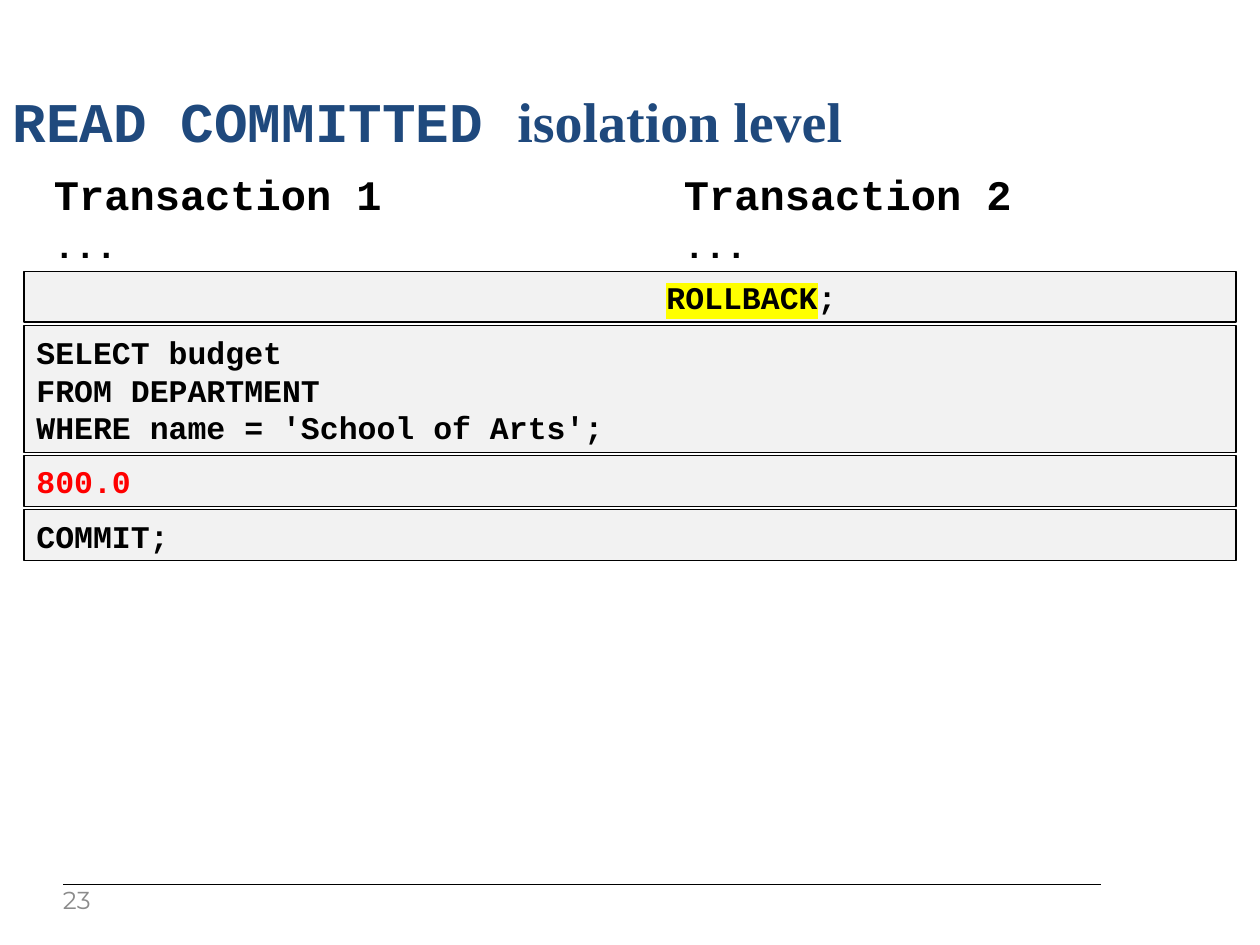
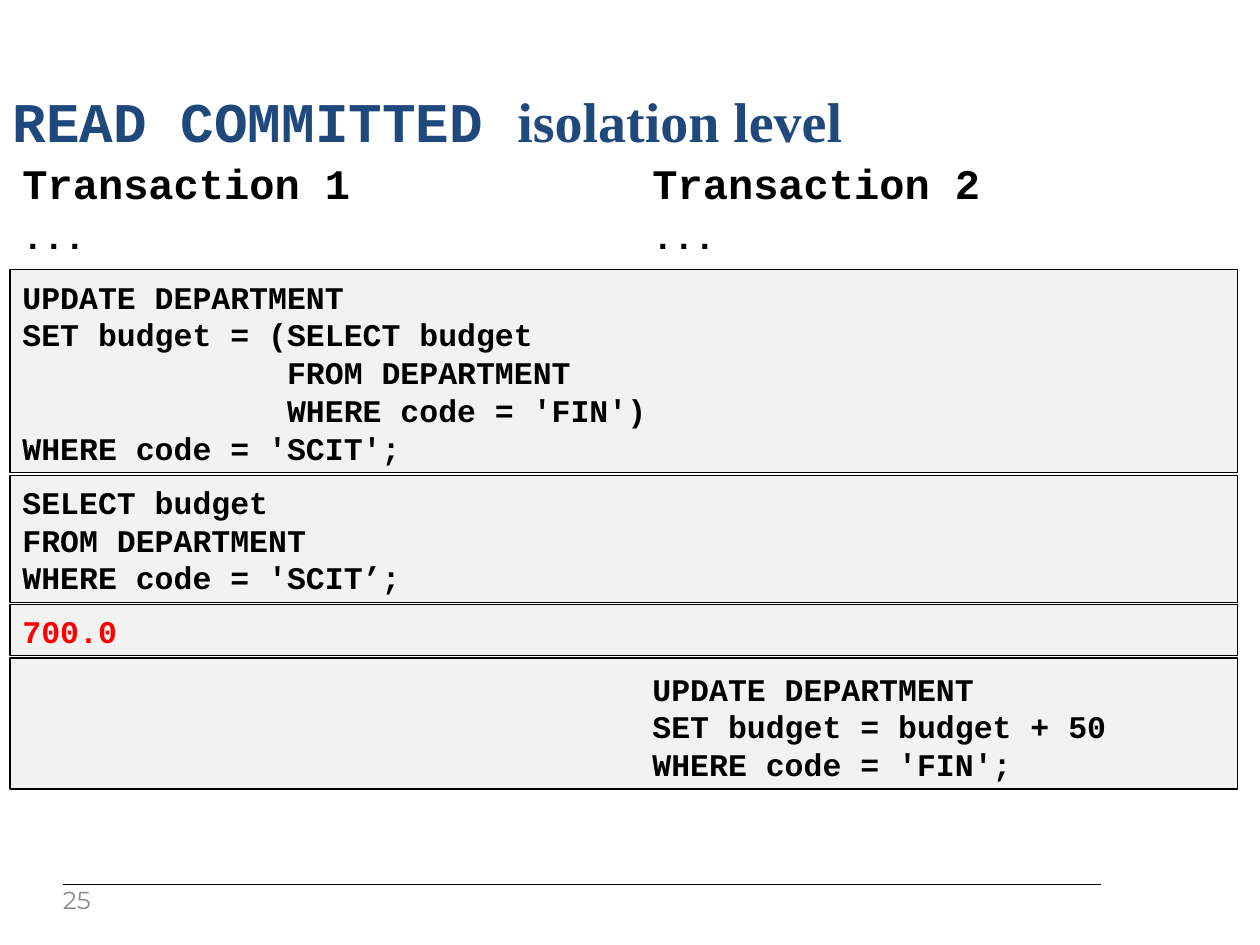
from lxml import etree
from pptx import Presentation
from pptx.dml.color import RGBColor
from pptx.enum.shapes import MSO_CONNECTOR, MSO_SHAPE
from pptx.enum.text import MSO_ANCHOR, MSO_AUTO_SIZE, PP_ALIGN
from pptx.oxml.ns import qn
from pptx.util import Pt

LINE, RECT = MSO_CONNECTOR.STRAIGHT, MSO_SHAPE.RECTANGLE
BOTTOM, MIDDLE, LEFT = MSO_ANCHOR.BOTTOM, MSO_ANCHOR.MIDDLE, PP_ALIGN.LEFT
NO_FIT = MSO_AUTO_SIZE.NONE

COLORS = {"title": "1F497D", "code": "000000", "result": "FF0000", "row": "F2F2F2",
          "rule": "000000", "number": "8B8B8B", "highlight": "FFFF00"}
CODE, SERIF, SANS = "Courier New", "Times New Roman", "Montserrat"
SECOND_COLUMN = 360  # tab stop where Transaction 2 begins
LINE_HEIGHT, ROW_PADDING = 21.8, 7.2

# Each row: code, colour, extra height
SLIDES = [
    {
        "number": "23", "header": (23.76, 672), "header_tops": (92.9, 123.8),
        "rows_at": (13.7, 155, 692.6), "gap": 1.9,
        "rows": [
            ("\tROLLBACK;", "code", 0),
            ("SELECT budget\nFROM DEPARTMENT\nWHERE name = 'School of Arts';", "code", 0),
            ("800.0", "result", 0),
            ("COMMIT;", "code", 0),
        ],
    },
    {
        "number": "25", "header": (5.76, 701.3), "header_tops": (86.4, 118.8),
        "rows_at": (5.76, 154, 701.3), "gap": 1.4,
        "rows": [
            ("UPDATE DEPARTMENT\nSET budget = (SELECT budget\n"
             "              FROM DEPARTMENT\n"
             "              WHERE code = 'FIN')\nWHERE code = 'SCIT';", "code", 0),
            ("SELECT budget\nFROM DEPARTMENT\nWHERE code = 'SCIT’;", "code", 0),
            ("700.0", "result", 0),
            ("\tUPDATE DEPARTMENT\n\tSET budget = budget + 50\n"
             "\tWHERE code = 'FIN';", "code", 2.4),
        ],
    },
]


def style(r, size, font, color, bold=True):
    r.font.size = Pt(size)
    r.font.name = font
    r.font.bold = bold
    r.font.color.rgb = RGBColor.from_string(COLORS[color])


def write_code(sp, text, size, color="code"):
    """Fill a shape with code; a tab leads to the second column."""
    tf = sp.text_frame
    tf.text = text
    tf.word_wrap = True
    tf.vertical_anchor = BOTTOM
    for p in tf.paragraphs:
        p.alignment = LEFT
        if "\t" in p.text:
            tabs = etree.SubElement(p._p.get_or_add_pPr(), qn("a:tabLst"))
            etree.SubElement(tabs, qn("a:tab"), pos=str(Pt(SECOND_COLUMN)), algn="l")
        for r in p.runs:
            style(r, size, CODE, color)


prs = Presentation()
prs.slide_width, prs.slide_height = Pt(720), Pt(540)

for page in SLIDES:
    s = prs.slides.add_slide(prs.slide_layouts[5])

    # Footer
    rule = s.shapes.add_connector(LINE, Pt(36), Pt(505.4), Pt(629.3), Pt(505.4))
    rule.line.width = Pt(0.75)
    rule.line.color.rgb = RGBColor.from_string(COLORS["rule"])
    etree.SubElement(rule._element.spPr, qn("a:effectLst"))
    number = s.shapes.add_textbox(Pt(36), Pt(508.3), Pt(28.8), Pt(15.1))
    tf = number.text_frame
    tf.margin_left = tf.margin_top = 0
    tf.margin_right, tf.margin_bottom = Pt(7.2), Pt(3.6)
    tf.vertical_anchor = MIDDLE
    tf.word_wrap = True
    tf.text = page["number"]
    style(tf.paragraphs[0].runs[0], 14, SANS, "number", bold=False)

    # Title
    title = s.shapes.title
    title.left, title.top, title.width, title.height = Pt(0), Pt(44.6), Pt(720), Pt(48.2)
    tf = title.text_frame
    tf.auto_size = NO_FIT
    tf.vertical_anchor = MIDDLE
    p = tf.paragraphs[0]
    p.alignment = LEFT
    for text, font in (("READ COMMITTED ", CODE), ("isolation level", SERIF)):
        r = p.add_run()
        r.text = text
        style(r, 32, font, "title")

    # Column headers
    left, width = page["header"]
    headers = (("Transaction 1\tTransaction 2", 24, 36), ("...\t...", 20, 31.3))
    for top, (text, size, height) in zip(page["header_tops"], headers):
        sp = s.shapes.add_textbox(Pt(left), Pt(top), Pt(width), Pt(height))
        write_code(sp, text, size)

    # Timeline of statements
    left, top, width = page["rows_at"]
    for text, color, extra in page["rows"]:
        height = ROW_PADDING + LINE_HEIGHT * len(text.split("\n")) + extra
        sp = s.shapes.add_shape(RECT, Pt(left), Pt(top), Pt(width), Pt(height))
        sp.shadow.inherit = False
        sp.fill.solid()
        sp.fill.fore_color.rgb = RGBColor.from_string(COLORS["row"])
        sp.line.color.rgb = RGBColor.from_string(COLORS["rule"])
        sp.line.width = Pt(0.75)
        write_code(sp, text, 18, color)
        top += height + page["gap"]

        if "ROLLBACK" in text:
            p = sp.text_frame.paragraphs[0]
            p.runs[0].text = "\t"
            for part in ("ROLLBACK", ";"):
                r = p.add_run()
                r.text = part
                style(r, 18, CODE, color)
            fill = p.runs[1].font._element.find(qn("a:solidFill"))
            highlight = etree.Element(qn("a:highlight"))
            etree.SubElement(highlight, qn("a:srgbClr"), val=COLORS["highlight"])
            fill.addnext(highlight)

prs.save("out.pptx")
